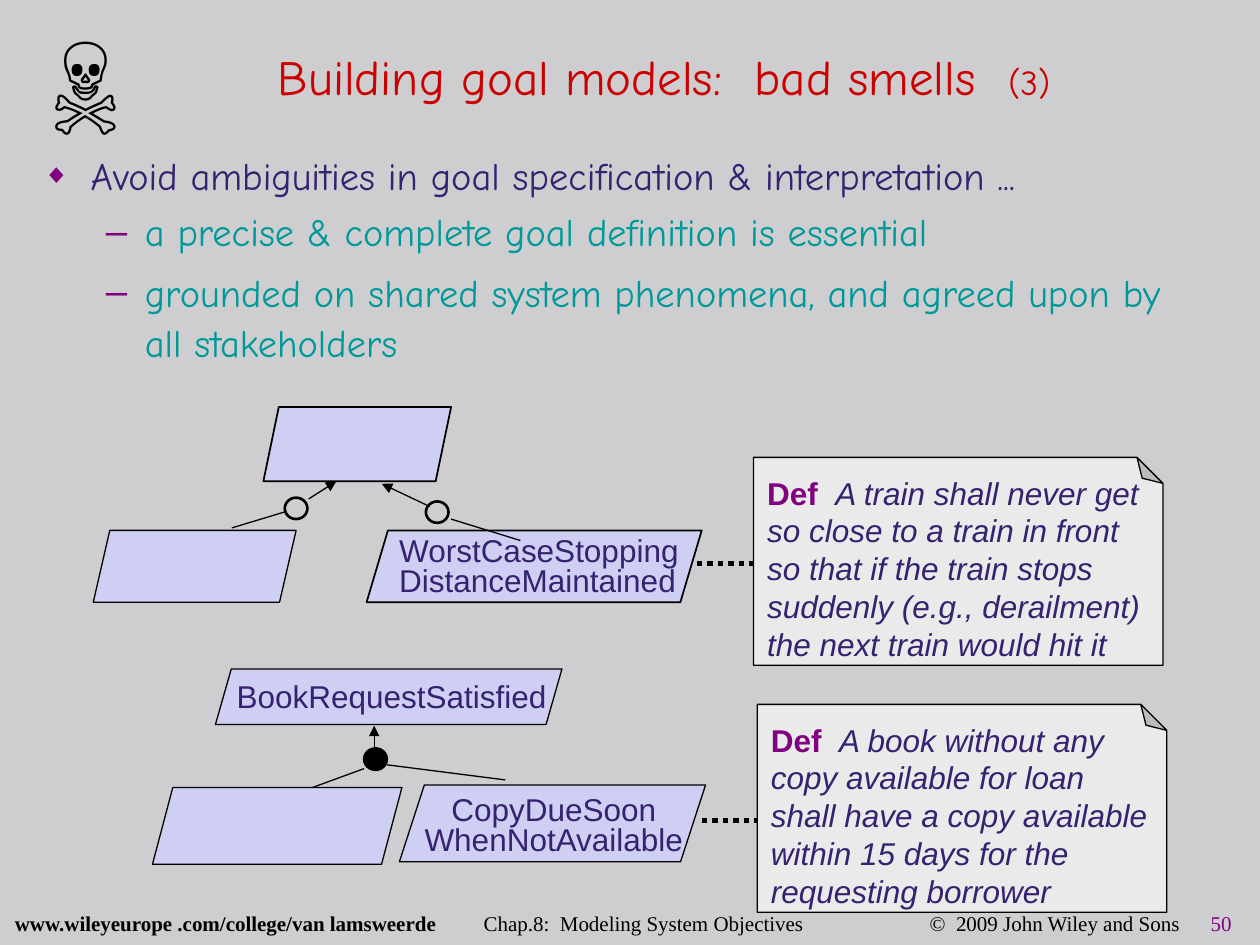
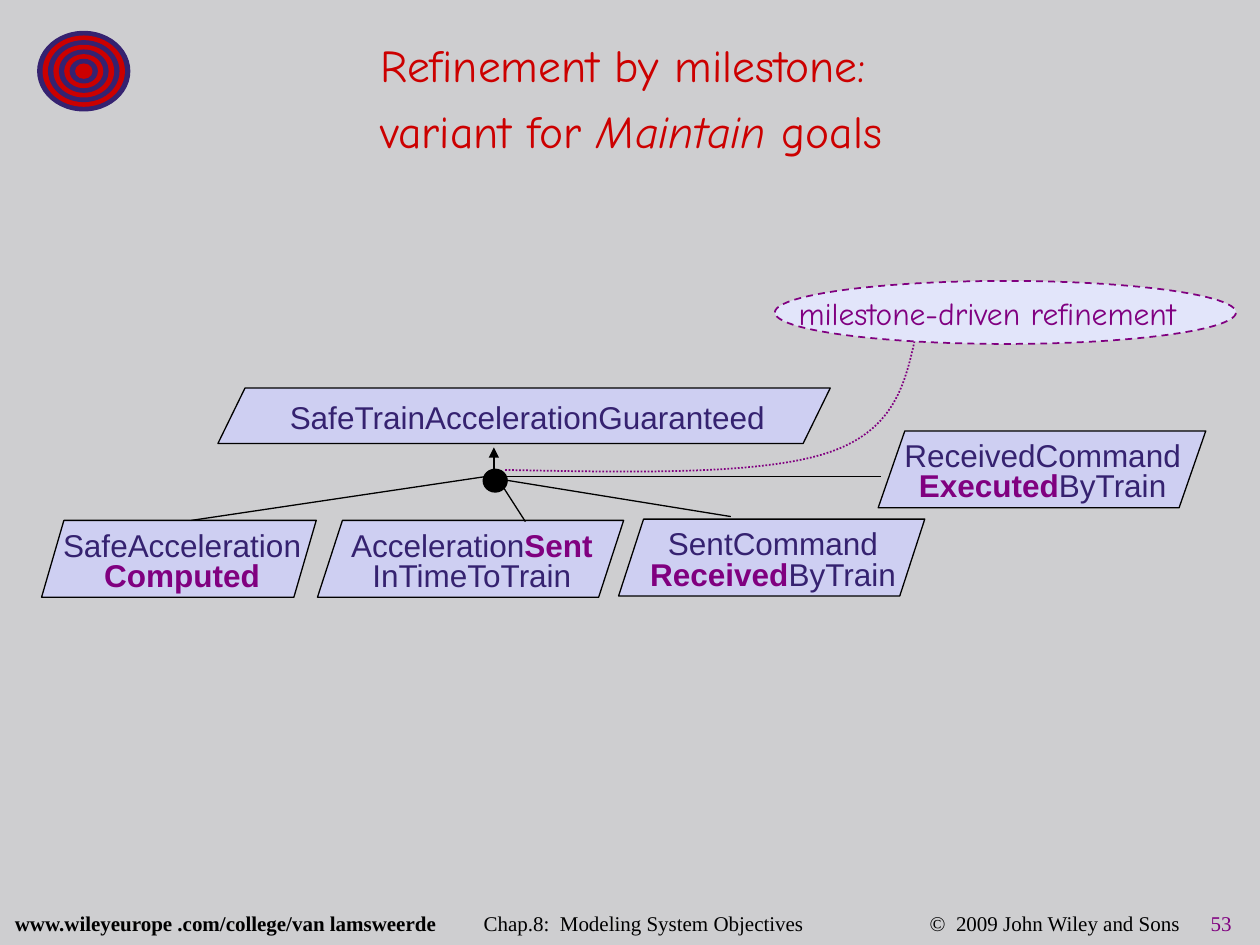
from dataclasses import dataclass
from lxml.etree import SubElement
from pptx import Presentation
from pptx.dml.color import RGBColor
from pptx.enum.dml import MSO_LINE
from pptx.enum.shapes import MSO_CONNECTOR, MSO_SHAPE
from pptx.enum.text import MSO_ANCHOR, MSO_AUTO_SIZE, PP_ALIGN
from pptx.oxml.ns import qn
from pptx.util import Inches, Pt

@dataclass(frozen=True)
class Theme:
    background: str = "CECED0"
    navy: str = "352270"
    purple: str = "800080"
    red: str = "CC0000"
    teal: str = "009999"
    black: str = "000000"
    goal: str = "CECFF2"
    note: str = "EAEAEA"
    callout: str = "E2E5FA"
    hand: str = "Comic Neue"
    sans: str = "Arial"
    serif: str = "Times New Roman"

THEME = Theme()

# Text styles: font, size, colour, bold, italic
STYLES = {
    "title": (THEME.hand, 28, THEME.red, False, False),
    "title part": (THEME.hand, 20, THEME.red, False, False),
    "long title": (THEME.hand, 26, THEME.red, False, False),
    "long title italic": (THEME.hand, 26, THEME.red, False, True),
    "point": (THEME.hand, 22, THEME.navy, False, False),
    "subpoint": (THEME.hand, 22, THEME.teal, False, False),
    "goal": (THEME.sans, 18, THEME.navy, False, False),
    "key": (THEME.sans, 18, THEME.purple, True, False),
    "definition": (THEME.sans, 18, THEME.navy, False, True),
    "callout": (THEME.hand, 18, THEME.purple, False, False),
    "symbol": (THEME.sans, 54, THEME.black, False, False),
    "site": (THEME.serif, 12, THEME.black, True, False),
    "footer": (THEME.serif, 12, THEME.black, False, False),
    "number": (THEME.serif, 12, THEME.purple, False, False),
}

# Shared footer
SITE = "www.wileyeurope .com/college/van lamsweerde"
CHAPTER = "Chap.8:  Modeling System Objectives"
COPYRIGHT = "©  2009 John Wiley and Sons"
FOOTER_TABS = (3.72, 7.26, 9.49)

# Slide 50: ambiguity
SMELLS_TITLE = [[("Building goal models:  bad smells  ", "title"), ("(3)", "title part")]]
SMELLS_POINTS = [  # text, level, line spacing, space before
    ("Avoid ambiguities in goal specification & interpretation ...", 0, 1.3, 0),
    ("a precise & complete goal definition is essential", 1, 1.0, 5.5),
    ("grounded on shared system phenomena, and agreed upon by all stakeholders", 1, 1.1, 5.5),
]
BULLETS = [  # symbol, size percent, left margin, hanging, style
    ("◆", 70, 0.38, 0.38, "point"),
    ("–", 100, 0.81, 0.31, "subpoint"),
]
SMELLS_GOALS = [  # place, slant, line width
    ((1.71, 5.31, 2.75, 0.44), 0.286, 0.75), ((1.21, 6.25, 1.98, 0.61), 0.265, 0.75),
    ((3.17, 6.23, 2.43, 0.61), 0.325, 0.75), ((2.09, 3.23, 1.49, 0.59), 0.208, 1),
    ((2.91, 4.21, 2.66, 0.57), 0.297, 1), ((0.74, 4.21, 1.61, 0.57), 0.23, 0.75),
]
SMELLS_LABELS = [  # place, alignment, text with *key words*
    ((1.78, 5.32, 2.67, 0.39), PP_ALIGN.LEFT, "BookRequestSatisfied"),
    ((3.25, 6.28, 2.29, 0.57), PP_ALIGN.CENTER, "CopyDueSoon\nWhenNotAvailable"),
    ((3.07, 4.22, 2.51, 0.53), PP_ALIGN.LEFT, "WorstCaseStopping\nDistanceMaintained"),
]
SMELLS_LINKS = [(3.07, 6.07, 4.01, 6.19), (2.89, 6.10, 2.48, 6.25),
                (3.58, 4.12, 4.13, 4.29), (2.27, 4.06, 1.84, 4.19)]
SMELLS_ARROWS = [(2.97, 5.76, 2.97, 5.96), (2.67, 3.82, 2.45, 3.96), (3.03, 3.84, 3.41, 4.02)]
SMELLS_DOTS = [(2.89, 5.94, THEME.black), (2.26, 3.95, None), (3.38, 3.98, None)]
NOTE_LINKS = [(5.57, 6.51, 6.09, 6.51), (5.53, 4.47, 6.05, 4.47)]
NOTES = [
    (6.01, 5.59, "A book without any copy available for loan shall have a copy available "
                 "within 15 days for the requesting borrower"),
    (5.98, 3.63, "A train shall never get so close to a train in front so that if the train "
                 "stops suddenly (e.g., derailment) the next train would hit it"),
]

# Slide 53: milestones
MILESTONE_TITLE = [[("Refinement by milestone: \nvariant for ", "long title"),
                    ("Maintain", "long title italic"), (" goals", "long title")]]
MILESTONE_GOALS = [
    ((1.73, 3.08, 4.86, 0.44), 0.489, 0.75), ((2.52, 4.13, 2.43, 0.61), 0.325, 0.75),
    ((0.33, 4.13, 2.18, 0.61), 0.291, 0.75), ((4.91, 4.12, 2.43, 0.61), 0.325, 0.75),
    ((6.97, 3.42, 2.60, 0.61), 0.347, 0.75),
]
MILESTONE_LABELS = [
    ((1.86, 3.11, 4.65, 0.39), PP_ALIGN.CENTER, "SafeTrainAccelerationGuaranteed"),
    ((2.60, 4.18, 2.29, 0.57), PP_ALIGN.CENTER, "Acceleration*Sent*\nInTimeToTrain"),
    ((0.30, 4.18, 2.29, 0.57), PP_ALIGN.CENTER, "SafeAcceleration\n*Computed*"),
    ((4.99, 4.17, 2.29, 0.57), PP_ALIGN.CENTER, "SentCommand\n*Received*ByTrain"),
    ((7.05, 3.47, 2.45, 0.57), PP_ALIGN.CENTER, "ReceivedCommand\n*Executed*ByTrain"),
]
MILESTONE_LINKS = [(3.87, 3.78, 1.52, 4.13), (4.01, 3.81, 5.80, 4.10),
                   (3.99, 3.86, 4.17, 4.14), (3.99, 3.78, 6.99, 3.78)]
MILESTONE_ARROWS = [(3.92, 3.55, 3.92, 3.74)]
MILESTONE_DOTS = [(3.84, 3.73, THEME.black)]
CALLOUT_CURVE = [(4.01, 3.73), (5.01, 3.75), (6.01, 3.77), (6.55, 3.60),
                 (7.09, 3.43), (7.18, 3.06), (7.26, 2.70)]
TARGET_CENTRE, TARGET_SIZE, TARGET_RINGS = (0.665, 0.565), (0.73, 0.63), 8

def place_at(place):
    return [Inches(value) for value in place]

# Text helpers
def style_font(font, style):
    name, size, colour, font.bold, font.italic = STYLES[style]
    font.name, font.size = name, Pt(size)
    font.color.rgb = RGBColor.from_string(colour)

def write_lines(frame, lines, align=PP_ALIGN.LEFT, spacing=1.0):
    frame.word_wrap = True
    for index, spans in enumerate(lines):
        para = frame.paragraphs[0] if index == 0 else frame.add_paragraph()
        para.alignment, para.line_spacing = align, spacing
        for text, style in spans:
            for part_index, part in enumerate(text.split("\n")):
                if part_index:
                    para.add_line_break()
                span = para.add_run()
                span.text = part
                style_font(span.font, style)

def label_lines(text):
    return [[(part, ("goal", "key")[index % 2])
             for index, part in enumerate(line.split("*")) if part]
            for line in text.split("\n")]

def add_text(page, place, lines, align=PP_ALIGN.LEFT, spacing=1.0, anchor=MSO_ANCHOR.TOP):
    box = page.shapes.add_textbox(*place_at(place))
    box.text_frame.vertical_anchor = anchor
    write_lines(box.text_frame, lines, align, spacing)
    return box

def move_placeholder(holder, place):
    holder.left, holder.top, holder.width, holder.height = place_at(place)
    holder.text_frame.auto_size = MSO_AUTO_SIZE.NONE
    holder.text_frame.vertical_anchor = MSO_ANCHOR.MIDDLE

def set_title(page, place, lines, spacing):
    move_placeholder(page.shapes.title, place)
    write_lines(page.shapes.title.text_frame, lines, PP_ALIGN.CENTER, spacing)

def write_points(frame):
    for index, (text, level, spacing, before) in enumerate(SMELLS_POINTS):
        para = frame.paragraphs[0] if index == 0 else frame.add_paragraph()
        symbol, percent, margin, hanging, style = BULLETS[level]
        para.text, para.level = text, level
        properties = para._p.get_or_add_pPr()
        properties.set("marL", str(Inches(margin)))
        properties.set("indent", str(-Inches(hanging)))
        colour = SubElement(properties, qn("a:buClr"))
        SubElement(colour, qn("a:srgbClr"), val=THEME.purple)
        SubElement(properties, qn("a:buSzPct"), val=str(percent * 1000))
        SubElement(properties, qn("a:buChar"), char=symbol)
        para.line_spacing, para.space_before = spacing, Pt(before)
        style_font(para.runs[0].font, style)

def add_footer(page, number):
    box = page.shapes.add_textbox(*place_at((0.02, 7.23, 9.97, 0.24)))
    tabs = SubElement(box.text_frame.paragraphs[0]._p.get_or_add_pPr(), qn("a:tabLst"))
    for position in FOOTER_TABS:
        SubElement(tabs, qn("a:tab"), pos=str(Inches(position)), algn="l")
    spans = [(SITE, "site"), (f"\t{CHAPTER}\t{COPYRIGHT}\t", "footer"), (str(number), "number")]
    write_lines(box.text_frame, [spans], spacing=0.7)

# Drawing helpers
def style_line(line, colour, width, dash=None):
    line.color.rgb = RGBColor.from_string(colour)
    line.width = Pt(width)
    if dash:
        line.dash_style = dash

def style_shape(shape, fill, colour=THEME.black, width=0.75, dash=None):
    shape.shadow.inherit = False
    if fill:
        shape.fill.solid()
        shape.fill.fore_color.rgb = RGBColor.from_string(fill)
    else:
        shape.fill.background()
    style_line(shape.line, colour, width, dash)

def add_shape(page, kind, place, fill, colour=THEME.black, width=0.75, dash=None):
    shape = page.shapes.add_shape(kind, *place_at(place))
    style_shape(shape, fill, colour, width, dash)
    return shape

def add_link(page, ends, arrow=False, width=0.75, dash=None):
    link = page.shapes.add_connector(MSO_CONNECTOR.STRAIGHT, *place_at(ends))
    style_line(link.line, THEME.black, width, dash)
    if arrow:
        SubElement(link.line._get_or_add_ln(), qn("a:headEnd"), type="triangle")
    SubElement(link._element.spPr, qn("a:effectLst"))

def add_goal_graph(page, goals, labels, links, arrows, dots):
    for place, slant, width in goals:
        goal = add_shape(page, MSO_SHAPE.PARALLELOGRAM, place, THEME.goal, width=width)
        goal.adjustments[0] = slant
    for ends in links:
        add_link(page, ends)
    for ends in arrows:
        add_link(page, ends, arrow=True)
    for left, top, fill in dots:
        add_shape(page, MSO_SHAPE.OVAL, (left, top, 0.18, 0.17), fill, width=1.5)
    for place, align, text in labels:
        add_text(page, place, label_lines(text), align, 0.8 if "\n" in text else 1.0)

def add_note(page, left, top, definition):
    note = add_shape(page, MSO_SHAPE.FOLDED_CORNER, (left, top, 3.25, 1.65), THEME.note)
    for adjustments in note._element.iter(qn("a:avLst")):
        SubElement(adjustments, qn("a:gd"), name="adj", fmla="val 12500")
    note.rotation = 180
    note._element.spPr.find(qn("a:xfrm")).set("flipH", "1")
    add_text(page, (left + 0.01, top + 0.08, 3.24, 1.56),
             [[("Def  ", "key"), (definition, "definition")]])

def add_curve(page, points):
    start, *rest = [tuple(place_at(point)) for point in points]
    builder = page.shapes.build_freeform(*start)
    builder.add_line_segments(rest, close=False)
    curve = builder.convert_to_shape()
    style_shape(curve, None, THEME.purple, 1, MSO_LINE.ROUND_DOT)
    # Each three points after the start make one Bézier segment
    segments = list(curve._element.iter(qn("a:lnTo")))
    outline = segments[0].getparent()
    for index in range(0, len(segments), 3):
        bezier = SubElement(outline, qn("a:cubicBezTo"))
        for segment in segments[index:index + 3]:
            bezier.extend(list(segment))
            outline.remove(segment)

def add_target(page):
    for ring in range(TARGET_RINGS):
        width, height = TARGET_SIZE[0] - 0.086 * ring, TARGET_SIZE[1] - 0.074 * ring
        place = (TARGET_CENTRE[0] - width / 2, TARGET_CENTRE[1] - height / 2, width, height)
        colour = (THEME.navy, THEME.red)[ring % 2]
        add_shape(page, MSO_SHAPE.OVAL, place, colour, colour)

# Slides
def build_smells(deck):
    page = deck.slides.add_slide(deck.slide_layouts[1])
    add_footer(page, 50)
    body = page.placeholders[1]
    move_placeholder(body, (0.24, 0.93, 9.2, 2.14))
    write_points(body.text_frame)
    add_goal_graph(page, SMELLS_GOALS, SMELLS_LABELS, SMELLS_LINKS, SMELLS_ARROWS, SMELLS_DOTS)
    for ends in NOTE_LINKS:
        add_link(page, ends, width=3, dash=MSO_LINE.ROUND_DOT)
    for note in NOTES:
        add_note(page, *note)
    set_title(page, (0.54, 0.22, 9.46, 0.83), SMELLS_TITLE, 0.9)
    add_text(page, (0.24, 0.03, 0.88, 1.09), [[("☠", "symbol")]],
             PP_ALIGN.CENTER, 1.1, MSO_ANCHOR.MIDDLE)

def build_milestones(deck):
    page = deck.slides.add_slide(deck.slide_layouts[5])
    add_footer(page, 53)
    set_title(page, (0.98, 0.18, 8.06, 1.1), MILESTONE_TITLE, 1.2)
    add_goal_graph(page, MILESTONE_GOALS, MILESTONE_LABELS, MILESTONE_LINKS,
                   MILESTONE_ARROWS, MILESTONE_DOTS)
    add_curve(page, CALLOUT_CURVE)
    add_target(page)
    add_shape(page, MSO_SHAPE.OVAL, (6.15, 2.23, 3.66, 0.5), THEME.callout,
              THEME.purple, 1, MSO_LINE.DASH)
    callout = add_text(page, (6.08, 2.28, 3.51, 0.4), [[("milestone-driven refinement", "callout")]],
                       PP_ALIGN.CENTER, anchor=MSO_ANCHOR.MIDDLE)
    callout.text_frame.word_wrap = False

def main():
    deck = Presentation()
    deck.slide_width, deck.slide_height = Inches(10), Inches(7.5)
    fill = deck.slide_master.background.fill
    fill.solid()
    fill.fore_color.rgb = RGBColor.from_string(THEME.background)
    build_smells(deck)
    build_milestones(deck)
    deck.save("out.pptx")

if __name__ == "__main__":
    main()
